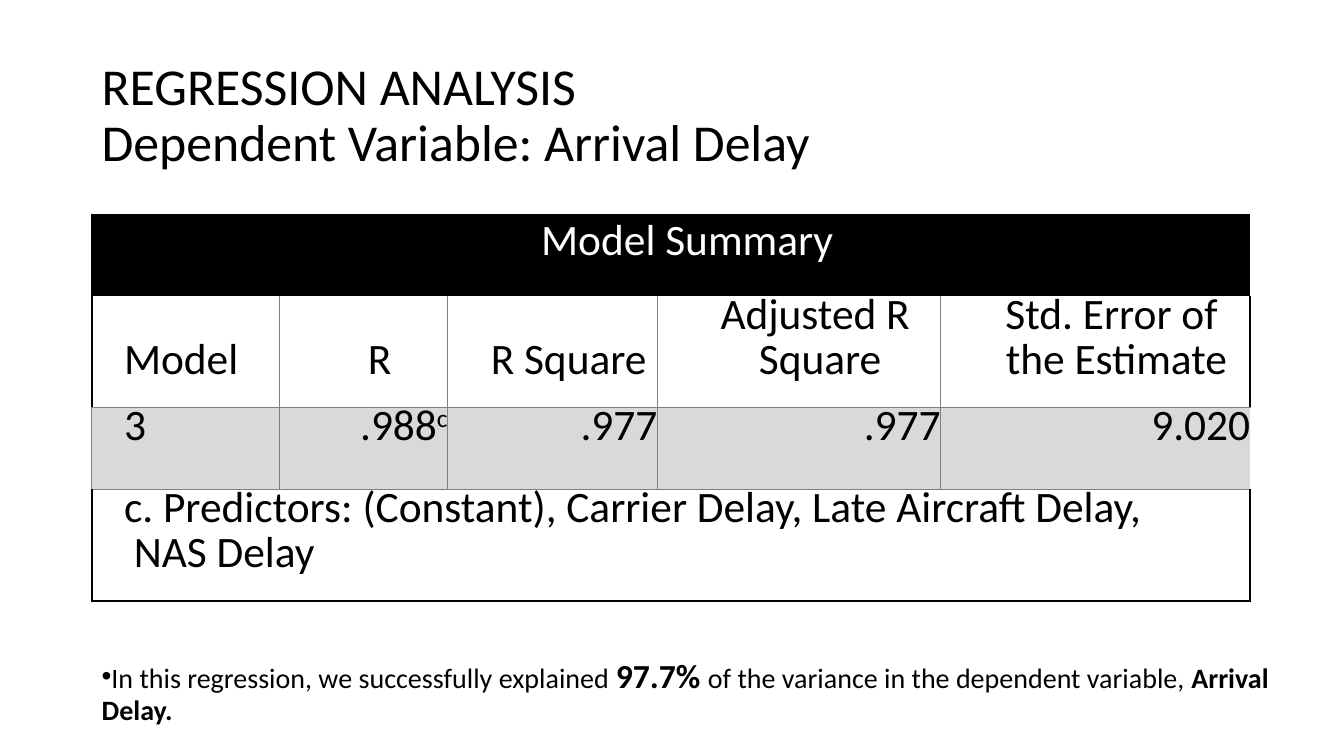
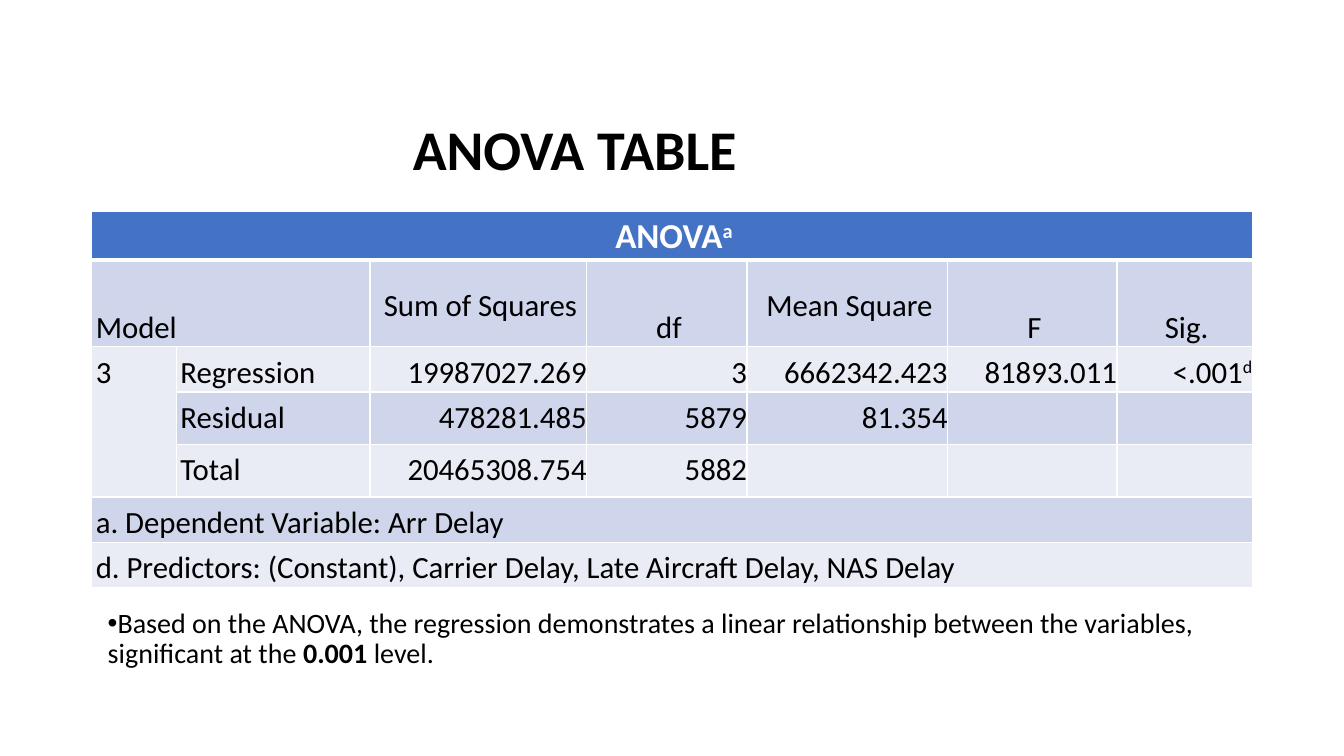
from dataclasses import dataclass, field
from typing import Optional

from lxml import etree
from pptx import Presentation
from pptx import util as u
from pptx.dml.color import RGBColor
from pptx.enum import text
from pptx.oxml import ns

FONT = "Calibri"
BLACK = RGBColor(0, 0, 0)
WHITE = RGBColor(0xFF, 0xFF, 0xFF)
GREY = RGBColor(0x80, 0x80, 0x80)
SILVER = RGBColor(0xD9, 0xD9, 0xD9)
BLUE = RGBColor(0x44, 0x72, 0xC4)
BAND_DARK = RGBColor(0xCF, 0xD5, 0xEA)
BAND_LIGHT = RGBColor(0xE9, 0xEB, 0xF5)

LEFT, CENTER, RIGHT = text.PP_ALIGN.LEFT, text.PP_ALIGN.CENTER, text.PP_ALIGN.RIGHT
TOP, MIDDLE, BOTTOM = text.MSO_ANCHOR.TOP, text.MSO_ANCHOR.MIDDLE, text.MSO_ANCHOR.BOTTOM
NO_GRID_STYLE = "{2D5ABB26-0587-4C30-8999-92F81FD0307C}"
LINE = 16  # exact line spacing in tables, in points
LINE_INCHES = 0.22


@dataclass(frozen=True)
class Span:
    words: str
    size: float = 20
    bold: bool = False
    color: RGBColor = BLACK
    raised: bool = False


@dataclass(frozen=True)
class Edge:
    color: RGBColor
    width: float


@dataclass(frozen=True)
class Cell:
    """One table cell; a caret in its words starts a superscript."""
    words: str = ""
    size: float = 22
    align: text.PP_ALIGN = LEFT
    anchor: text.MSO_ANCHOR = TOP
    color: RGBColor = BLACK
    bold: bool = False
    fill: Optional[RGBColor] = None
    insets: tuple[float, float, float, float] = (0, LINE_INCHES, 0, 0)
    edges: dict[str, Edge] = field(default_factory=dict)
    rows: int = 1
    cols: int = 1


THIN = Edge(GREY, 0.5)
THICK = Edge(BLACK, 1.5)
GRID = {side: Edge(WHITE, 1) for side in "LRTB"}


def add_spans(para, spans: list[Span]) -> None:
    for item in spans:
        for index, line in enumerate(item.words.split("\n")):
            if index:
                para.add_line_break()
            span = para.add_run()
            span.text = line
            font = span.font
            font.name, font.size, font.bold = FONT, u.Pt(item.size), item.bold
            font.color.rgb = item.color
            if item.raised:
                span._r.get_or_add_rPr().set("baseline", "30000")


def add_text(page, spans: list[Span], left: float, top: float, width: float,
             height: float, *, align: text.PP_ALIGN = LEFT, bullet: bool = False) -> None:
    box = page.shapes.add_textbox(*map(u.Inches, (left, top, width, height)))
    frame = box.text_frame
    frame.word_wrap = True
    frame.vertical_anchor = MIDDLE
    para = frame.paragraphs[0]
    para.alignment, para.line_spacing = align, 0.9
    if bullet:
        para.space_after = u.Pt(6)
        props = para._p.get_or_add_pPr()
        props.set("marL", "0")
        props.set("indent", str(u.Inches(-0.25)))
        etree.SubElement(props, ns.qn("a:buFont")).set("typeface", "Arial")
        etree.SubElement(props, ns.qn("a:buChar")).set("char", "•")
    add_spans(para, spans)


def draw_edges(cell, edges: dict[str, Edge]) -> None:
    props = cell._tc.get_or_add_tcPr()
    for side in "LRTB":
        if side in edges:
            line = etree.SubElement(props, ns.qn(f"a:ln{side}"))
            line.set("w", str(u.Pt(edges[side].width)))
            solid = etree.SubElement(line, ns.qn("a:solidFill"))
            etree.SubElement(solid, ns.qn("a:srgbClr")).set("val", str(edges[side].color))


def fill_cell(cell, item: Cell) -> None:
    (cell.margin_left, cell.margin_top,
     cell.margin_right, cell.margin_bottom) = map(u.Inches, item.insets)
    cell.vertical_anchor = item.anchor
    draw_edges(cell, item.edges)
    if item.fill is None:
        cell.fill.background()
    else:
        cell.fill.solid()
        cell.fill.fore_color.rgb = item.fill
    if not item.words:
        return
    frame = cell.text_frame
    for index, line in enumerate(item.words.split("\n")):
        para = frame.add_paragraph() if index else frame.paragraphs[0]
        para.alignment, para.line_spacing = item.align, u.Pt(LINE)
        if index:
            para.space_before = u.Pt(LINE)
        para._p.get_or_add_pPr().set("marL", str(u.Inches(0.04)))
        add_spans(para, [Span(part, item.size, item.bold, item.color, raised=number > 0)
                         for number, part in enumerate(line.split("^"))])


def add_grid(page, left: float, top: float, widths: list[float], heights: list[float],
             cells: dict[tuple[int, int], Cell]) -> None:
    """Add a table whose cells are keyed by row and column."""
    frame = page.shapes.add_table(len(heights), len(widths), *map(
        u.Inches, (left, top, sum(widths), sum(heights))))
    table = frame.table
    table.first_row = table.horz_banding = False
    table._tbl.tblPr.find(ns.qn("a:tableStyleId")).text = NO_GRID_STYLE
    for column, width in zip(table.columns, widths):
        column.width = u.Inches(width)
    for row, height in zip(table.rows, heights):
        row.height = u.Inches(height)
    for (row, col), item in cells.items():
        cell = table.cell(row, col)
        if item.rows * item.cols > 1:
            cell.merge(table.cell(row + item.rows - 1, col + item.cols - 1))
        fill_cell(cell, item)


def build_summary(page) -> None:
    add_text(page, [Span("REGRESSION ANALYSIS\nDependent Variable: Arrival Delay", 37)],
             0.91, 0.24, 10.46, 1.83)
    add_text(page, [Span("In this regression, we successfully explained "),
                    Span("97.7% ", 24, True),
                    Span("of the variance in the dependent variable, "),
                    Span("Arrival Delay.", bold=True)],
             0.91, 6.25, 11.87, 1.25, bullet=True)

    style = {"size": 31, "insets": (0.28, LINE_INCHES, 0, LINE_INCHES)}
    cells = {
        (0, 0): Cell("Model Summary", align=CENTER, anchor=MIDDLE, color=WHITE, fill=BLACK,
                     cols=5, edges={"L": THICK, "T": THICK}, **style),
        (3, 0): Cell("c. Predictors: (Constant), Carrier Delay, Late Aircraft Delay,\n NAS Delay",
                     cols=5, edges={side: THICK for side in "LRB"}, **style),
    }
    headings = ["Model", "R", "R Square", "Adjusted R\n Square", "Std. Error of\n the Estimate"]
    values = ["3", ".988^c", ".977", ".977", "9.020"]
    last = len(headings) - 1
    for col, (heading, value) in enumerate(zip(headings, values)):
        cells[1, col] = Cell(heading, align=CENTER if col else LEFT, anchor=BOTTOM,
                             edges={"L": THIN if col else THICK,
                                    "R": THICK if col == last else THIN, "B": THIN}, **style)
        edges = {"L": THIN, "T": THIN}
        if col < last:
            edges["R"] = THIN
        cells[2, col] = Cell(value, align=RIGHT if col else LEFT, fill=SILVER,
                             edges=edges, **style)
    add_grid(page, 0.91, 2.13, [1.86, 1.67, 2.08, 2.81, 3.07], [0.81, 1.1, 0.81, 1.1], cells)


def build_anova(page) -> None:
    add_text(page, [Span("ANOVA TABLE", 40, True)], 0.91, 0.6, 9.58, 1.83, align=CENTER)
    add_text(page, [Span("Based on the ANOVA, the regression demonstrates a linear relationship "
                         "between the variables, significant at the"),
                    Span(" 0.001 ", bold=True), Span("level.")],
             0.97, 5.79, 11.19, 1.11, bullet=True)

    cells = {
        (0, 0): Cell("ANOVA^a", size=25, align=CENTER, anchor=MIDDLE, color=WHITE, bold=True,
                     fill=BLUE, cols=7, edges=GRID | {"B": Edge(WHITE, 3)}),
        (1, 0): Cell("Model", anchor=BOTTOM, fill=BAND_DARK, cols=2, edges=GRID,
                     insets=(0, 0, 0, 0)),
        (2, 0): Cell("3", fill=BAND_LIGHT, rows=3, edges=GRID),
    }
    for col, heading in enumerate(["Sum of Squares", "df", "Mean Square", "F", "Sig."], 2):
        lift = LINE_INCHES if " " in heading else 0
        cells[1, col] = Cell(heading, align=CENTER, anchor=BOTTOM, fill=BAND_DARK, edges=GRID,
                             insets=(0, 0, 0, lift))
    records = [
        ["Regression", "19987027.269", "3", "6662342.423", "81893.011", "<.001^d"],
        ["Residual", "478281.485", "5879", "81.354", "", ""],
        ["Total", "20465308.754", "5882", "", "", ""],
    ]
    for row, record in enumerate(records, 2):
        for col, value in enumerate(record, 1):
            cells[row, col] = Cell(value, align=RIGHT if col > 1 else LEFT, edges=GRID,
                                   fill=BAND_DARK if row % 2 else BAND_LIGHT)
    notes = ["a. Dependent Variable: Arr Delay",
             "d. Predictors: (Constant), Carrier Delay, Late Aircraft Delay, NAS Delay"]
    for row, note in enumerate(notes, 5):
        cells[row, 0] = Cell(note, cols=7, edges=GRID,
                             fill=BAND_DARK if row % 2 else BAND_LIGHT)
    add_grid(page, 0.91, 2.1, [0.84, 1.92, 2.15, 1.59, 1.99, 1.68, 1.34],
             [0.48, 0.86] + [0.45] * 5, cells)


def main() -> None:
    deck = Presentation()
    deck.slide_width, deck.slide_height = u.Inches(13.33), u.Inches(7.5)
    for build in (build_summary, build_anova):
        build(deck.slides.add_slide(deck.slide_layouts[6]))
    deck.save("out.pptx")


if __name__ == "__main__":
    main()
